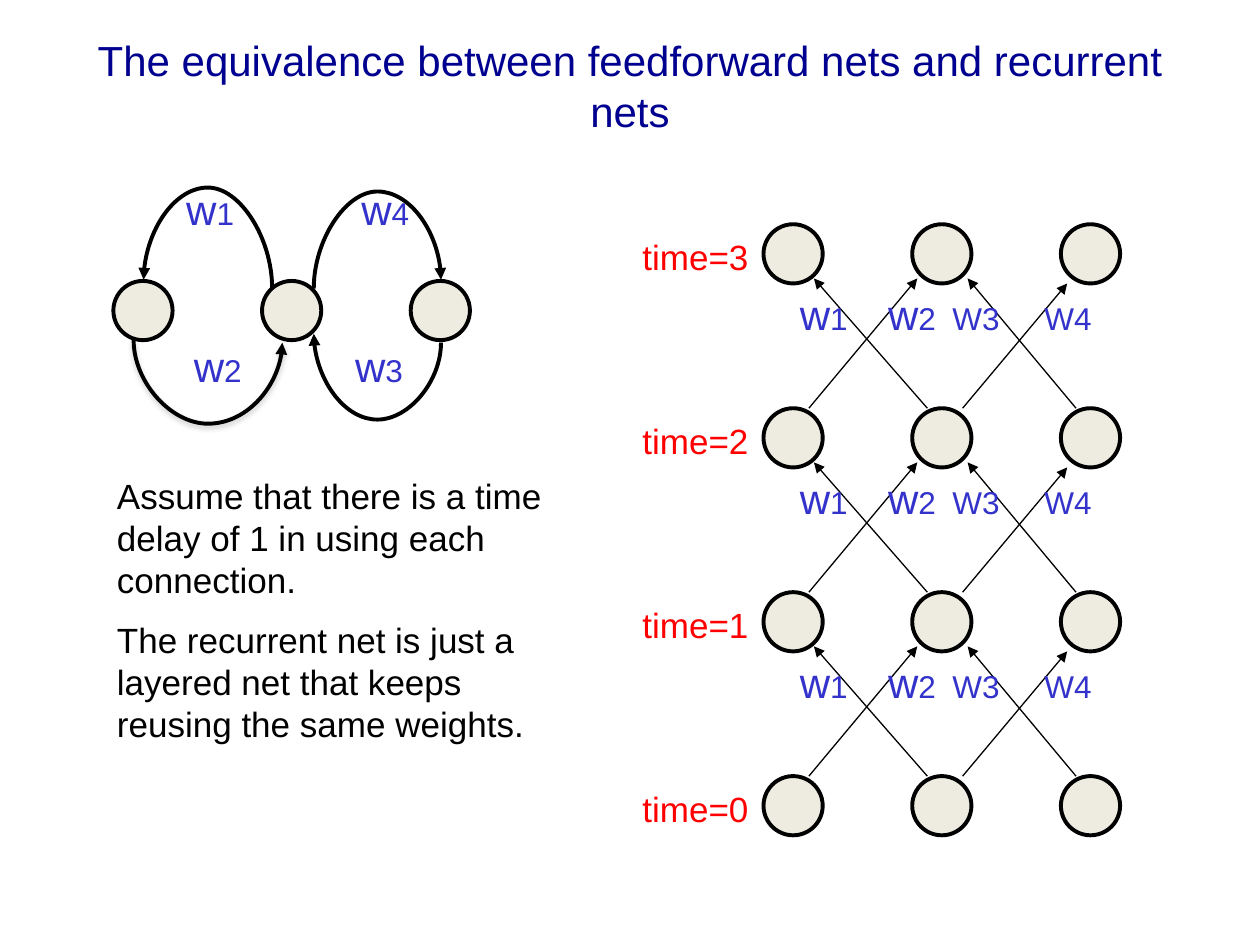
from lxml.etree import SubElement
from pptx import Presentation
from pptx.dml.color import RGBColor
from pptx.enum.shapes import MSO_CONNECTOR, MSO_SHAPE
from pptx.enum.text import MSO_ANCHOR, PP_ALIGN
from pptx.oxml.ns import qn
from pptx.util import Inches, Pt

NAVY = RGBColor(0x00, 0x00, 0x90)
BLUE = RGBColor(0x33, 0x33, 0xCC)
RED = RGBColor(0xFF, 0x00, 0x00)
BLACK = RGBColor(0x00, 0x00, 0x00)
CREAM = RGBColor(0xEE, 0xEC, 0xE1)

NODE = 0.47
COL_STEP, ROW_STEP = 1.18, 1.46
NET_LEFT, NET_TOP = 6.06, 1.78
LAYERS = 4

# Arrows between two layers: start x, end x, rise (x from the net's left edge)
ARROWS = [(0.36, 1.22, 1.03), (2.48, 1.62, 1.03),
          (1.30, 0.40, 1.03), (1.58, 2.41, 0.99)]

# Loops of the recurrent net: start, end, y of the bend, shadow
LOOPS = [((3.5, 2.72), (2.49, 2.65), 3.33, False),
         ((2.16, 2.29), (1.14, 2.22), 1.49, False),
         ((2.49, 2.29), (3.5, 2.22), 1.52, False),
         ((1.06, 2.7), (2.24, 2.72), 3.36, True)]

LAYER_WEIGHTS = [("w", 24), ("1\t", 18), ("w", 24), ("2\tW3\tW4", 18)]
NOTES = ["Assume that there is a time delay of 1 in using each connection.",
         "The recurrent net is just a layered net that keeps reusing the same weights."]


def add_run(p, text, size, color):
    r = p.add_run()
    r.text = text
    for name, value in {"name": "Arial", "size": Pt(size)}.items():
        setattr(r.font, name, value)
    r.font.color.rgb = color


def add_text(slide, box, paragraphs, color, tabs=()):
    """Each paragraph is a list of (text, size) runs."""
    tf = slide.shapes.add_textbox(*map(Inches, box)).text_frame
    tf.word_wrap = True
    for i, runs in enumerate(paragraphs):
        p = tf.add_paragraph() if i else tf.paragraphs[0]
        if tabs:
            tab_list = SubElement(p._p.get_or_add_pPr(), qn("a:tabLst"))
            for pos in tabs:
                SubElement(tab_list, qn("a:tab"), pos=str(Inches(pos)), algn="l")
        if i:
            p.space_before = Pt(10)
        for text, size in runs:
            add_run(p, text, size, color)


def add_node_row(slide, left, top):
    for col in range(3):
        sp = slide.shapes.add_shape(
            MSO_SHAPE.OVAL, Inches(left + col * COL_STEP), Inches(top),
            Inches(NODE), Inches(NODE))
        sp.shadow.inherit = False
        sp.fill.solid()
        sp.fill.fore_color.rgb = CREAM
        sp.line.color.rgb = BLACK
        sp.line.width = Pt(2.25)


def add_arrow(slide, kind, start, end, width, shadow=False):
    c = slide.shapes.add_connector(kind, *map(Inches, (*start, *end)))
    c.line.color.rgb = BLACK
    c.line.width = Pt(width)
    SubElement(c.line._get_or_add_ln(), qn("a:tailEnd"), type="triangle")
    effects = SubElement(c._element.spPr, qn("a:effectLst"))
    if shadow:
        outer = SubElement(effects, qn("a:outerShdw"), blurRad=str(Pt(3.1)),
                           dist=str(Pt(1.6)), dir="5400000", rotWithShape="0")
        tint = SubElement(outer, qn("a:srgbClr"), val="808080")
        SubElement(tint, qn("a:alpha"), val="38000")
    return c


def add_loop(slide, start, end, bend, shadow):
    """A curved connector turned by 270 degrees, so that it bends up or down."""
    c = add_arrow(slide, MSO_CONNECTOR.CURVE, start, end, 2.25, shadow)
    (x1, y1), (x2, y2) = start, end
    w, h = abs(y2 - y1), abs(x2 - x1)
    c.left, c.top = Inches((x1 + x2 - w) / 2), Inches((y1 + y2 - h) / 2)
    c.width, c.height = Inches(w), Inches(h)
    xfrm = c._element.spPr.find(qn("a:xfrm"))
    for name, value in {"rot": "16200000", "flipH": str(int(y2 > y1)),
                        "flipV": str(int(x2 < x1))}.items():
        xfrm.set(name, value)
    geom = c._element.spPr.find(qn("a:prstGeom"))
    guides = geom.find(qn("a:avLst"))
    if guides is None:
        guides = SubElement(geom, qn("a:avLst"))
    ratio = round((bend - y1) / (y2 - y1) * 100000)
    SubElement(guides, qn("a:gd"), name="adj1", fmla=f"val {ratio}")


def add_title(slide, text):
    sp = slide.shapes.title
    for name, value in {"left": 0.5, "top": 0.05, "width": 9, "height": 1.25}.items():
        setattr(sp, name, Inches(value))
    sp.text_frame.vertical_anchor = MSO_ANCHOR.MIDDLE
    p = sp.text_frame.paragraphs[0]
    p.alignment = PP_ALIGN.CENTER
    add_run(p, text, 24, NAVY)


def add_recurrent_net(slide):
    add_node_row(slide, 0.9, 2.23)
    for loop in LOOPS:
        add_loop(slide, *loop)
    for left, top, first, second, tab in [(1.38, 1.41, "1", "4", 1.39),
                                          (1.44, 2.65, "2", "3", 1.28)]:
        runs = [("w", 24), (first + "\t", 18), ("w", 24), (second, 18)]
        add_text(slide, (left, top, 2.17, 0.5), [runs], BLUE, [tab])


def add_layered_net(slide):
    for row in range(LAYERS):
        top = NET_TOP + row * ROW_STEP
        add_node_row(slide, NET_LEFT, top)
        add_text(slide, (5, top + 0.04, 1.06, 0.44),
                 [[(f"time={LAYERS - 1 - row}", 20)]], RED)
        if row == 0:
            continue
        # Connections up to the layer above, with their weights
        for x1, x2, rise in ARROWS:
            add_arrow(slide, MSO_CONNECTOR.STRAIGHT, (NET_LEFT + x1, top),
                      (NET_LEFT + x2, top - rise), 0.75)
        add_text(slide, (6.25, top - 1, 2.88, 0.5), [LAYER_WEIGHTS], BLUE,
                 [0.7, 1.21, 1.94])


def main():
    prs = Presentation()
    prs.slide_width, prs.slide_height = Inches(10), Inches(7.5)
    slide = prs.slides.add_slide(prs.slide_layouts[5])
    add_title(slide, "The equivalence between feedforward nets and recurrent nets")
    add_recurrent_net(slide)
    add_layered_net(slide)
    add_text(slide, (0.83, 3.72, 3.66, 2.29), [[(note, 20)] for note in NOTES], BLACK)
    prs.save("out.pptx")


if __name__ == "__main__":
    main()
